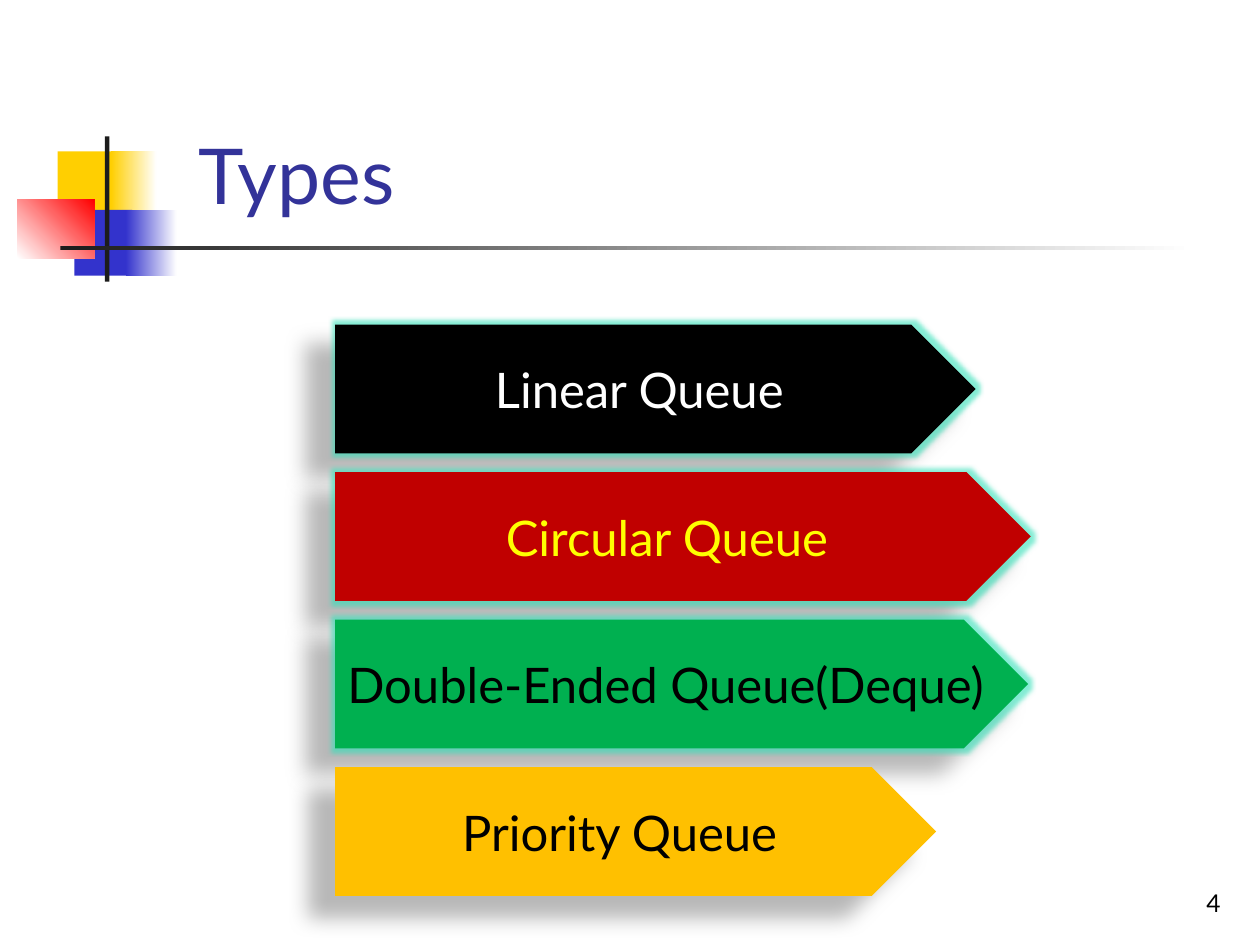
from lxml import etree
from pptx import Presentation
from pptx.dml.color import RGBColor
from pptx.enum.shapes import MSO_SHAPE
from pptx.enum.text import MSO_ANCHOR, PP_ALIGN
from pptx.oxml.ns import qn
from pptx.util import Pt

RECT, ARROW = MSO_SHAPE.RECTANGLE, MSO_SHAPE.PENTAGON
MIDDLE, BOTTOM = MSO_ANCHOR.MIDDLE, MSO_ANCHOR.BOTTOM
LEFT, CENTER, RIGHT = PP_ALIGN.LEFT, PP_ALIGN.CENTER, PP_ALIGN.RIGHT
FONT = "Lato"
COLORS = {
    "white": "FFFFFF", "black": "000000", "ink": "1C1C1C", "title": "333399",
    "gold": "FFCF01", "blue": "3333CC", "red": "FF0000", "crimson": "C00000",
    "yellow": "FFFF00", "green": "00B050", "amber": "FFC000", "glow": "33E0B8",
}
# label, arrow width, fill, text colour, glow
QUEUES = [
    ("Linear Queue", 366, "black", "white", True),
    ("Circular Queue", 397.5, "crimson", "yellow", True),
    ("Double-Ended Queue(Deque)", 396, "green", "black", True),
    ("Priority Queue", 343.5, "amber", "black", False),
]


def rgb(name):
    return RGBColor.from_string(COLORS[name])


def set_text(shape, text, size, color, align, anchor, wrap=True):
    frame = shape.text_frame
    frame.text = text
    frame.word_wrap = wrap
    frame.vertical_anchor = anchor
    para = frame.paragraphs[0]
    para.alignment = align
    font = para.runs[0].font
    font.name, font.size = FONT, Pt(size)
    font.color.rgb = rgb(color)


def add_block(slide, kind, box, color, end=None, angle=0):
    """Add a borderless shape, solid or fading from color to end."""
    shape = slide.shapes.add_shape(kind, *map(Pt, box))
    shape.shadow.inherit = False
    shape.line.fill.background()
    if end:
        shape.fill.gradient()
        shape.fill.gradient_angle = angle
        for stop, name in zip(shape.fill.gradient_stops, (color, end)):
            stop.color.rgb = rgb(name)
    else:
        shape.fill.solid()
        shape.fill.fore_color.rgb = rgb(color)
    return shape


def add_effect(shape, tag, color, alpha, **attrs):
    effects = shape._element.spPr.find(qn("a:effectLst"))
    effect = etree.SubElement(effects, qn(tag),
                              {key: str(val) for key, val in attrs.items()})
    tint = etree.SubElement(effect, qn("a:srgbClr"), val=COLORS[color])
    etree.SubElement(tint, qn("a:alpha"), val=str(alpha * 1000))


def add_motif(slide, left, top):
    """Draw the overlapping squares and the crossed rules."""
    parts = [
        ((23, 8.5, 34.5, 37.5), "gold", None, 0),
        ((53.5, 8.5, 26, 37.5), "gold", "white", 0),
        ((32.5, 42, 33, 37.5), "blue", None, 0),
        ((62, 42, 29, 37.5), "blue", "white", 0),
        ((0, 36, 44, 33.5), "white", "red", 45),
        ((50, 0, 2.5, 83), "ink", None, 0),
        ((24.5, 62.5, 648, 2.5), "ink", "white", 0),
    ]
    for (x, y, width, height), color, end, angle in parts:
        add_block(slide, RECT, (left + x, top + y, width, height),
                  color, end, angle)


def add_title(slide, box, text):
    title = slide.shapes.title
    title.left, title.top, title.width, title.height = map(Pt, box)
    set_text(title, text, 44, "title", LEFT, BOTTOM)


def add_queues(slide, left, top, height, gap):
    for row, (label, width, fill, ink, glow) in enumerate(QUEUES):
        box = (left, top + row * (height + gap), width, height)
        arrow = add_block(slide, ARROW, box, fill)
        set_text(arrow, label, 28, ink, CENTER, MIDDLE, wrap=False)
        if glow:
            add_effect(arrow, "a:glow", "glow", 60, rad=Pt(5))
        add_effect(arrow, "a:outerShdw", "black", 28, blurRad=Pt(11.8),
                   dist=Pt(19.7), dir=141 * 60000, algn="ctr",
                   rotWithShape=0)


def add_number(slide, box, text):
    note = slide.shapes.add_textbox(*map(Pt, box))
    set_text(note, text, 14, "black", RIGHT, BOTTOM)


def main():
    deck = Presentation()
    deck.slide_width, deck.slide_height = Pt(720), Pt(540)
    slide = deck.slides.add_slide(deck.slide_layouts[5])
    add_motif(slide, 10, 78)
    add_title(slide, (106.5, 78.5, 499, 50.5), "Types")
    add_queues(slide, 191.5, 185.5, 73.5, 10.8)
    add_number(slide, (554.5, 492, 150, 36), "4")
    deck.save("out.pptx")


if __name__ == "__main__":
    main()
